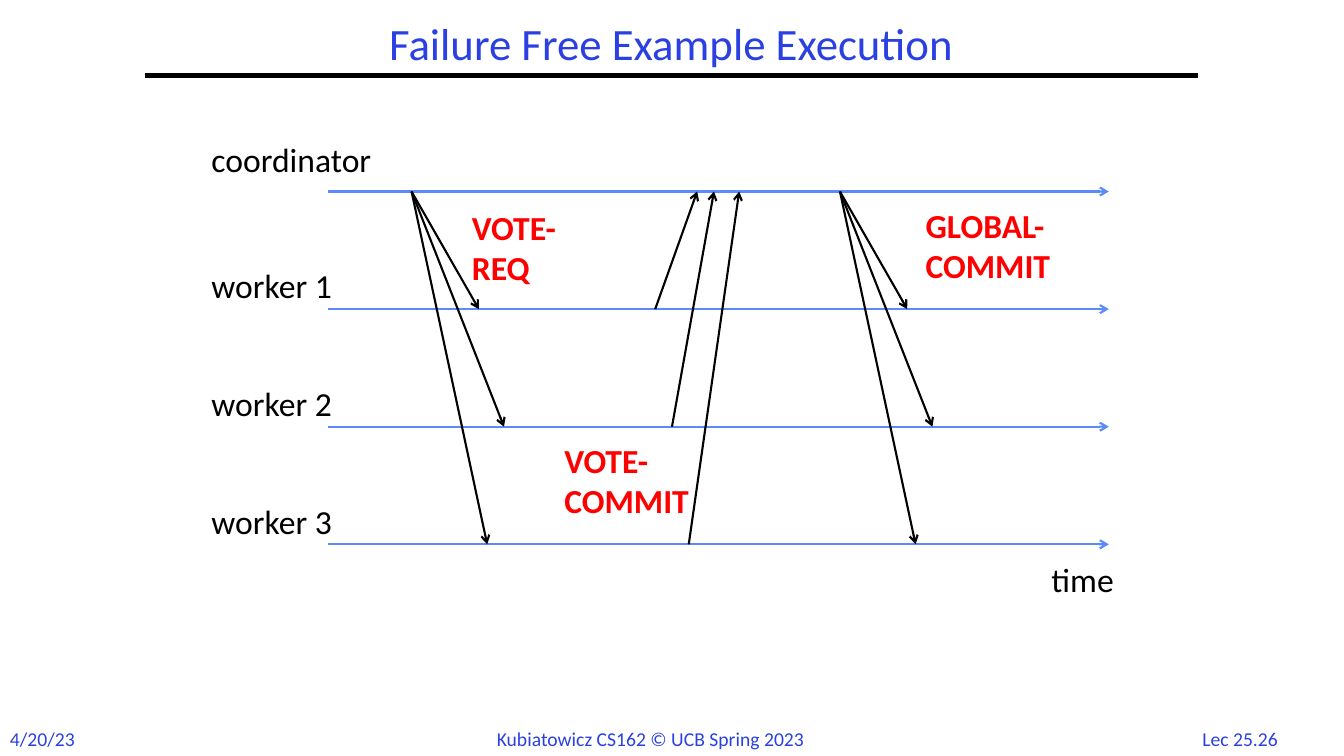
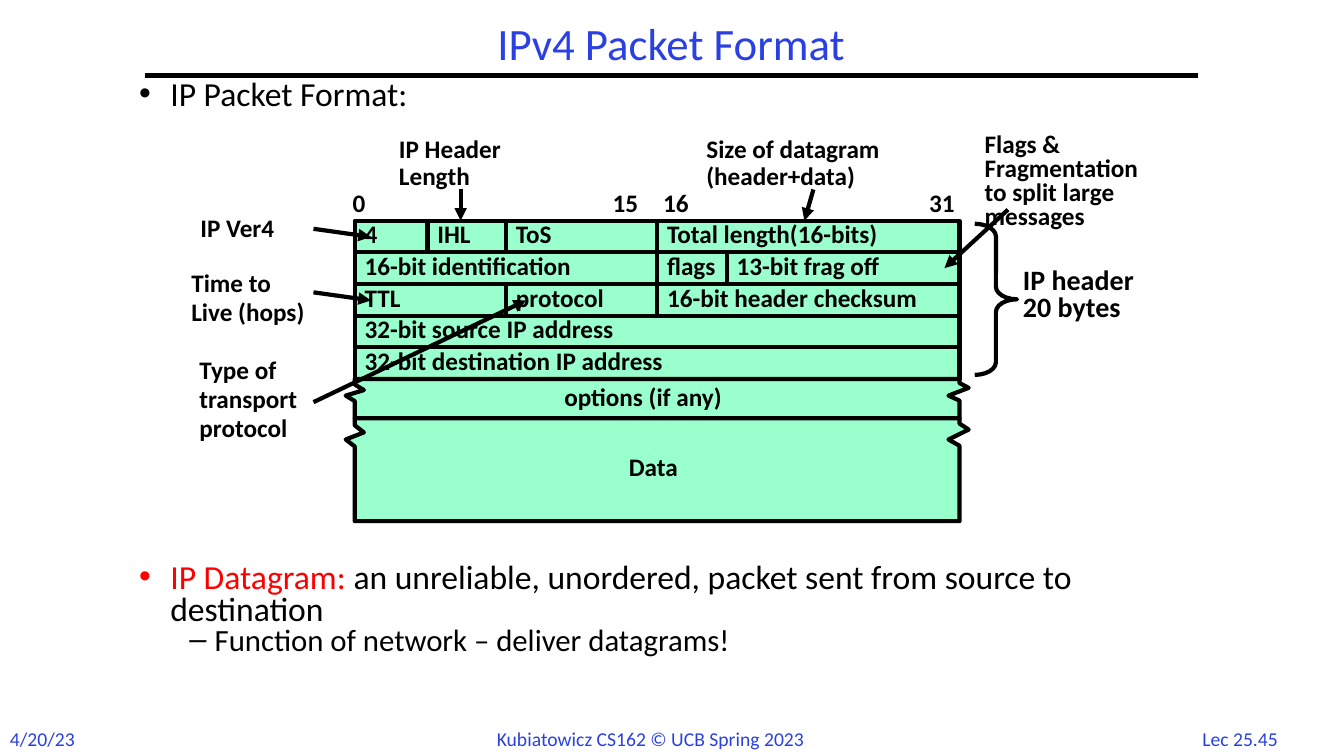
from dataclasses import dataclass

from lxml import etree
from pptx import Presentation, util as u
from pptx.dml.color import RGBColor
from pptx.enum import shapes, text
from pptx.oxml.ns import qn


@dataclass(frozen=True)
class Theme:
    font: str = "Calibri"
    blue: RGBColor = RGBColor(0x2A, 0x40, 0xE2)
    lane: RGBColor = RGBColor(0x5B, 0x8A, 0xFB)
    red: RGBColor = RGBColor(0xFF, 0, 0)
    mint: RGBColor = RGBColor(0x99, 0xFF, 0xCC)
    black: RGBColor = RGBColor(0, 0, 0)
    title: int = 32
    body: int = 24
    sub: int = 22
    brace: int = 20
    field: int = 18
    footer: int = 14
    heavy: float = 3
    thin: float = 1.5


theme = Theme()


def write(frame, lines, size, color=theme.black, bold=False, spacing=1.0, gap=0, wrap=False):
    """Fill a text frame, one paragraph for each line."""
    frame.word_wrap = wrap
    frame.auto_size = text.MSO_AUTO_SIZE.NONE
    for index, line in enumerate(lines):
        para = frame.paragraphs[0] if index == 0 else frame.add_paragraph()
        para.text = line
        para.alignment = text.PP_ALIGN.LEFT
        para.line_spacing = spacing
        para.space_before = u.Pt(gap if index else 0)
        para.font.name, para.font.size, para.font.bold = theme.font, u.Pt(size), bold
        para.font.color.rgb = color


def draw_line(page, start, end, color=theme.black, width=theme.heavy, head=None):
    """Draw a straight line between two points in inches."""
    line = page.shapes.add_connector(shapes.MSO_CONNECTOR.STRAIGHT,
                                     *(u.Inches(n) for n in (*start, *end)))
    line.line.color.rgb = color
    line.line.width = u.Pt(width)
    if head:
        etree.SubElement(line.line._get_or_add_ln(), qn("a:tailEnd"), type=head)
    etree.SubElement(line._element.spPr, qn("a:effectLst"))


deck = Presentation()
deck.slide_width, deck.slide_height = u.Inches(40 / 3), u.Inches(7.5)

# Shared frame: title, rule and footers
pages = []
for layout, heading, number in ((5, "Failure Free Example Execution", "Lec 25.26"),
                                (1, "IPv4 Packet Format", "Lec 25.45")):
    page = deck.slides.add_slide(deck.slide_layouts[layout])
    pages.append(page)
    title = page.shapes.title
    title.left, title.top, title.width, title.height = (
        u.Inches(n) for n in (1.44, 0.17, 10.44, 0.58))
    write(title.text_frame, [heading], theme.title, theme.blue, spacing=0.9, wrap=True)
    title.text_frame.vertical_anchor = text.MSO_ANCHOR.MIDDLE
    title.text_frame.paragraphs[0].alignment = text.PP_ALIGN.CENTER
    draw_line(page, (1.44, 0.75), (11.89, 0.75))
    for left, width, label in ((0, 0.85, "4/20/23"),
                               (4.83, 3.68, "Kubiatowicz CS162 © UCB Spring 2023"),
                               (11.83, 1.08, number)):
        box = page.shapes.add_textbox(*(u.Inches(n) for n in (left, 7.16, width, 0.34)))
        write(box.text_frame, [label], theme.footer, theme.blue)
timeline, packet = pages

# Timeline: a grid of 160 columns, each a twelfth of an inch, and four lanes
column = 1 / 12
lanes = [1.9 + 14 * column * index for index in range(4)]
for lane in lanes:
    draw_line(timeline, (39 * column, lane), (132 * column, lane),
              theme.lane, theme.thin, "arrow")

# Messages out from the coordinator, and the replies
messages = [((start * column, lanes[0]), ((start + step) * column, lanes[worker]))
            for start in (49, 100) for worker, step in ((1, 8), (2, 11), (3, 9))]
messages += [((start * column, lanes[worker]), (end * column, lanes[0]))
             for worker, start, end in ((1, 78, 83), (2, 80, 85), (3, 82, 88))]
for start, end in messages:
    draw_line(timeline, start, end, width=theme.thin, head="arrow")

# Lane names in black, message names in bold red
for left, top, width, label, is_message in (
        (24, 16, 24, "coordinator", False),
        (24, 31, 19, "worker 1", False),
        (24, 45, 19, "worker 2", False),
        (24, 59, 19, "worker 3", False),
        (124, 66, 11, "time", False),
        (55, 24, 16, "VOTE-REQ", True),
        (66, 51.8, 19, "VOTE-COMMIT", True),
        (109, 23.8, 20, "GLOBAL-COMMIT", True)):
    height = 11 if is_message else 6
    box = timeline.shapes.add_textbox(
        *(u.Inches(n * column) for n in (left, top, width, height)))
    write(box.text_frame, [label], theme.body, theme.red if is_message else theme.black,
          is_message, wrap=True)

# Packet page: bullets above and below the diagram
body = packet.placeholders[1]
body.left, body.top, body.width, body.height = (
    u.Inches(n) for n in (1.28, 0.75, 10.72, 6.44))
frame = body.text_frame
frame.auto_size = text.MSO_AUTO_SIZE.NONE
bullets = (
    (0, theme.body, 0, [("IP Packet Format:", theme.black)]),
    (0, theme.body, 322, [
        ("IP Datagram: ", theme.red),
        ("an unreliable, unordered, packet sent from source to destination", theme.black)]),
    (1, theme.sub, 0, [("Function of network – deliver datagrams!", theme.black)]),
)
for index, (level, size, gap, spans) in enumerate(bullets):
    para = frame.paragraphs[0] if index == 0 else frame.add_paragraph()
    para.level, para.line_spacing, para.space_before = level, 0.8, u.Pt(gap)
    margin, hanging = ((0.31, 0.31), (0.75, 0.25))[level]
    properties = para._p.get_or_add_pPr()
    properties.set("marL", str(u.Inches(margin)))
    properties.set("indent", str(-u.Inches(hanging)))
    para.font.name, para.font.size = theme.font, u.Pt(size)
    for words, color in spans:
        span = para.add_run()
        span.text = words
        span.font.color.rgb = color

# Header fields: five equal rows, each six inches wide
left_edge, right_edge, header_top, row_height = 3.52, 9.52, 2.19, 0.314
header_rows = (
    (("4", 0.72), ("IHL", 0.78), ("ToS", 1.5), ("Total length(16-bits)", 3)),
    (("16-bit identification", 3), ("flags", 0.69), ("13-bit frag off", 2.31)),
    (("TTL", 1.5), ("protocol", 1.5), ("16-bit header checksum", 3)),
    (("32-bit source IP address", 6),),
    (("32-bit destination IP address", 6),),
)
outlines = []
for row, fields in enumerate(header_rows):
    left = left_edge
    for label, width in fields:
        field = packet.shapes.add_shape(
            shapes.MSO_SHAPE.RECTANGLE, u.Inches(left),
            u.Inches(header_top + row * row_height), u.Inches(width), u.Inches(row_height))
        write(field.text_frame, [label], theme.field, bold=True, spacing=0.8)
        field.text_frame.vertical_anchor = text.MSO_ANCHOR.MIDDLE
        outlines.append(field)
        left += width

# Options and data: blocks with torn sides
for top, bottom, tear in ((3.76, 4.15, 0.055), (4.15, 5.17, 0.07)):
    points = [(left_edge, bottom), (right_edge, bottom)]
    points += [(right_edge + shift, top + tear * step) for shift, step in
               ((0, 3.9), (-0.11, 3), (0.09, 1.6), (0, 0.75), (0, 0))]
    points += [(left_edge + shift, top + tear * step) for shift, step in
               ((0, 0), (0, 1), (0.09, 2), (-0.09, 3), (0, 4))]
    points = [(u.Inches(x), u.Inches(y)) for x, y in points]
    builder = packet.shapes.build_freeform(*points[0])
    builder.add_line_segments(points[1:], close=True)
    outlines.append(builder.convert_to_shape())

for outline in outlines:
    outline.shadow.inherit = False
    outline.fill.solid()
    outline.fill.fore_color.rgb = theme.mint
    outline.line.color.rgb = theme.black
    outline.line.width = u.Pt(theme.heavy)

# Brace around the header
brace = packet.shapes.add_shape(shapes.MSO_SHAPE.RIGHT_BRACE,
                                *(u.Inches(n) for n in (9.67, 2.22, 0.42, 1.5)))
brace.adjustments[0] = 0.3
brace.shadow.inherit = False
brace.fill.background()
brace.line.color.rgb = theme.black
brace.line.width = u.Pt(theme.heavy)

# Labels, bit numbers and explanations
for left, top, width, height, lines, size, gap in (
        (5.5, 3.79, 2.04, 0.34, ["options (if any)"], theme.field, 0),
        (6.14, 4.49, 0.75, 0.34, ["Data"], theme.field, 0),
        (3.4, 1.87, 0.34, 0.34, ["0"], theme.field, 0),
        (5.98, 1.87, 0.48, 0.34, ["15"], theme.field, 0),
        (6.48, 1.87, 0.48, 0.34, ["16"], theme.field, 0),
        (9.12, 1.87, 0.48, 0.34, ["31"], theme.field, 0),
        (1.89, 2.12, 1.04, 0.34, ["IP Ver4"], theme.field, 0),
        (3.86, 1.33, 1.36, 0.61, ["IP Header", "Length"], theme.field, 1.8),
        (6.91, 1.33, 2.22, 0.61, ["Size of datagram", "(header+data)"], theme.field, 1.8),
        (9.67, 1.28, 1.95, 1.07,
         ["Flags &", "Fragmentation", "to split large", "messages"], theme.field, 0),
        (1.8, 2.66, 1.55, 0.64, ["Time to", "Live (hops)"], theme.field, 3.6),
        (1.88, 3.52, 1.33, 0.94, ["Type of", "transport", "protocol"], theme.field, 3.6),
        (10.05, 2.62, 1.46, 0.64, ["IP header", "20 bytes"], theme.brace, 0)):
    box = packet.shapes.add_textbox(*(u.Inches(n) for n in (left, top, width, height)))
    write(box.text_frame, lines, size, bold=True, spacing=0.8, gap=gap)

# Pointers from the explanations to the fields
for start, end in (((3.11, 2.27), (3.68, 2.35)),
                   ((4.57, 1.88), (4.57, header_top)),
                   ((8.07, 1.88), (7.98, header_top)),
                   ((10, 2.08), (9.37, 2.66)),
                   ((3.11, 2.9), (3.68, 2.98)),
                   ((3.11, 3.99), (5.22, 2.98))):
    draw_line(packet, start, end, head="triangle")

deck.save("out.pptx")
